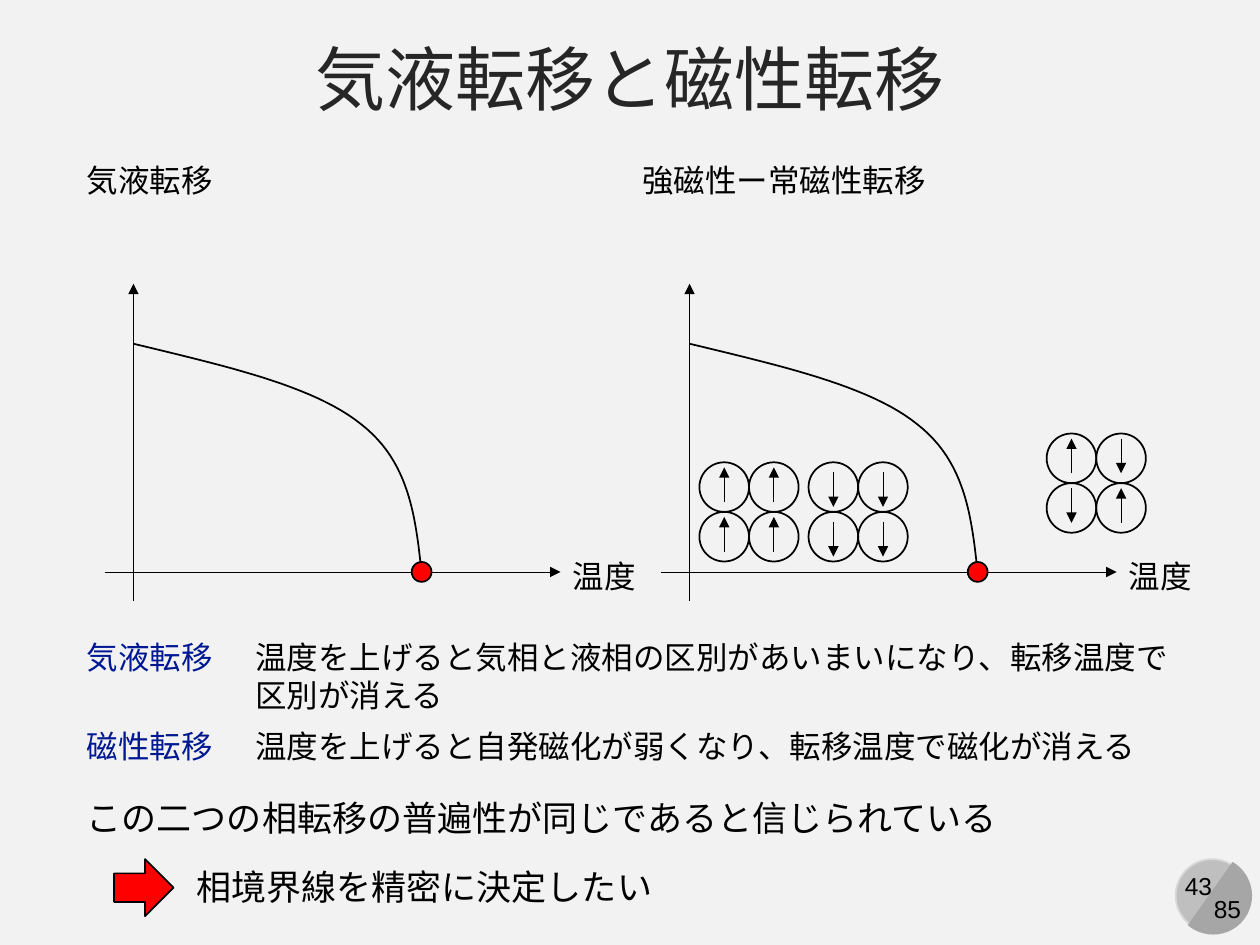
import pptx
import pptx.dml.color
import pptx.enum.shapes
import pptx.enum.text
import pptx.oxml.ns
import pptx.util
from lxml import etree

Cm, Pt = pptx.util.Cm, pptx.util.Pt
SHAPE = pptx.enum.shapes.MSO_SHAPE
ALIGN = pptx.enum.text.PP_ALIGN
COLORS = {
    "background": "F2F2F2", "title": "262626", "text": "000000",
    "term": "011893", "red": "FF0000", "badge": "BFBFBF",
    "badge_line": "D9D9D9", "badge_shade": "A6A6A6",
}
rgb = {name: pptx.dml.color.RGBColor.from_string(value)
       for name, value in COLORS.items()}

presentation = pptx.Presentation()
presentation.slide_width, presentation.slide_height = Cm(25.4), Cm(19.05)
slide = presentation.slides.add_slide(presentation.slide_layouts[6])
slide.background.fill.solid()
slide.background.fill.fore_color.rgb = rgb["background"]
shapes = slide.shapes


def add_arrow(x1, y1, x2, y2):
    """Draw a thin line with a triangle at its end."""
    arrow = shapes.add_connector(
        pptx.enum.shapes.MSO_CONNECTOR.STRAIGHT, Cm(x1), Cm(y1), Cm(x2), Cm(y2))
    arrow.line.color.rgb = rgb["text"]
    arrow.line.width = Pt(0.5)
    tail = etree.SubElement(arrow.line._get_or_add_ln(),
                            pptx.oxml.ns.qn("a:tailEnd"))
    tail.set("type", "triangle")
    etree.SubElement(arrow._element.spPr, pptx.oxml.ns.qn("a:effectLst"))


def style_shape(shape, fill=None, line="text"):
    shape.shadow.inherit = False
    if fill:
        shape.fill.solid()
        shape.fill.fore_color.rgb = rgb[fill]
    else:
        shape.fill.background()
    if line:
        shape.line.color.rgb = rgb[line]
        shape.line.width = Pt(1)
    else:
        shape.line.fill.background()


# Page badge
badge = shapes.add_shape(SHAPE.OVAL, Cm(23.7), Cm(17.32), Cm(1.47), Cm(1.47))
style_shape(badge, "badge", "badge_line")
shade = shapes.add_shape(SHAPE.CHORD, Cm(23.67), Cm(17.27), Cm(1.57), Cm(1.57))
shade.adjustments[0], shade.adjustments[1] = 27, 141.424
shade.rotation = 255
style_shape(shade, "badge_shade", None)

# Phase diagrams: the right one repeats the left one at an offset
for offset in (0, 11.21):
    add_arrow(2.11 + offset, 11.53, 11.3 + offset, 11.53)
    add_arrow(2.69 + offset, 12.12, 2.69 + offset, 5.72)

    points = []
    for bezier in (
        ((2.69, 6.93), (4.5, 7.37), (6.32, 7.77), (7.29, 8.56)),
        ((7.29, 8.56), (8.26, 9.32), (8.38, 10.44), (8.5, 11.55)),
    ):
        for step in range(25):
            t = step / 24
            weights = ((1 - t)**3, 3 * t * (1 - t)**2, 3 * t**2 * (1 - t), t**3)
            x, y = (sum(w * point[axis] for w, point in zip(weights, bezier))
                    for axis in (0, 1))
            points.append((Cm(x + offset), Cm(y)))
    builder = shapes.build_freeform(*points[0], scale=1.0)
    builder.add_line_segments(points[1:], close=False)
    style_shape(builder.convert_to_shape())

    critical_point = shapes.add_shape(
        SHAPE.OVAL, Cm(8.3 + offset), Cm(11.33), Cm(0.4), Cm(0.4))
    style_shape(critical_point, "red")

# Spin clusters: left, top, directions by row, start of a down arrow in its cell
for left, top, directions, down_start in (
    (14.1, 9.32, ("up", "up", "up", "up"), 0.2),
    (16.3, 9.32, ("down", "down", "down", "down"), 0.2),
    (21.1, 8.74, ("up", "down", "down", "up"), 0.1),
):
    for index, direction in enumerate(directions):
        row, column = divmod(index, 2)
        x, y = left + column, top + row
        style_shape(shapes.add_shape(SHAPE.OVAL, Cm(x), Cm(y), Cm(1), Cm(1)))
        if direction == "up":
            start, end = 0.8, 0.1
        else:
            start, end = down_start, down_start + 0.7
        add_arrow(x + 0.5, y + start, x + 0.5, y + end)

# Texts: left, top, width, height, size, colour, alignment, wrap
for text, left, top, width, height, size, color, align, wrap in (
    ("気液転移と磁性転移", 0, 0.53, 25.4, 2.08, 40, "title", ALIGN.CENTER, True),
    ("気液転移", 1.5, 3.12, 3.07, 1.02, 18, "text", ALIGN.LEFT, False),
    ("強磁性ー常磁性転移", 12.7, 3.12, 6.27, 1.02, 18, "text", ALIGN.LEFT, False),
    ("温度", 11.3, 11.1, 1.8, 1.02, 18, "text", ALIGN.LEFT, False),
    ("温度", 22.51, 11.1, 1.8, 1.02, 18, "text", ALIGN.LEFT, False),
    ("気液転移", 1.5, 12.73, 3.07, 1.02, 18, "term", ALIGN.LEFT, False),
    ("温度を上げると気相と液相の区別があいまいになり、転移温度で区別が消える",
     4.9, 12.73, 19.2, 1.8, 18, "text", ALIGN.LEFT, True),
    ("磁性転移", 1.5, 14.53, 3.07, 1.02, 18, "term", ALIGN.LEFT, False),
    ("温度を上げると自発磁化が弱くなり、転移温度で磁化が消える",
     4.9, 14.53, 19.2, 1.02, 18, "text", ALIGN.LEFT, True),
    ("この二つの相転移の普遍性が同じであると信じられている",
     1.5, 15.93, 19.02, 1.12, 20, "text", ALIGN.LEFT, False),
    ("相境界線を精密に決定したい",
     3.71, 17.32, 9.78, 1.12, 20, "text", ALIGN.LEFT, False),
    ("43", 23.6, 17.42, 1.12, 0.86, 14, "text", ALIGN.CENTER, False),
    ("85", 24.21, 17.88, 1.07, 0.86, 14, "text", ALIGN.CENTER, False),
):
    box = shapes.add_textbox(Cm(left), Cm(top), Cm(width), Cm(height))
    box.text_frame.word_wrap = wrap
    box.text_frame.vertical_anchor = pptx.enum.text.MSO_ANCHOR.MIDDLE
    paragraph = box.text_frame.paragraphs[0]
    paragraph.text = text
    paragraph.alignment = align
    paragraph.font.name = "Arial"
    paragraph.font.size = Pt(size)
    paragraph.font.color.rgb = rgb[color]

conclusion_arrow = shapes.add_shape(
    SHAPE.RIGHT_ARROW, Cm(2.3), Cm(17.32), Cm(1.2), Cm(1.15))
style_shape(conclusion_arrow, "red")

presentation.save("out.pptx")
